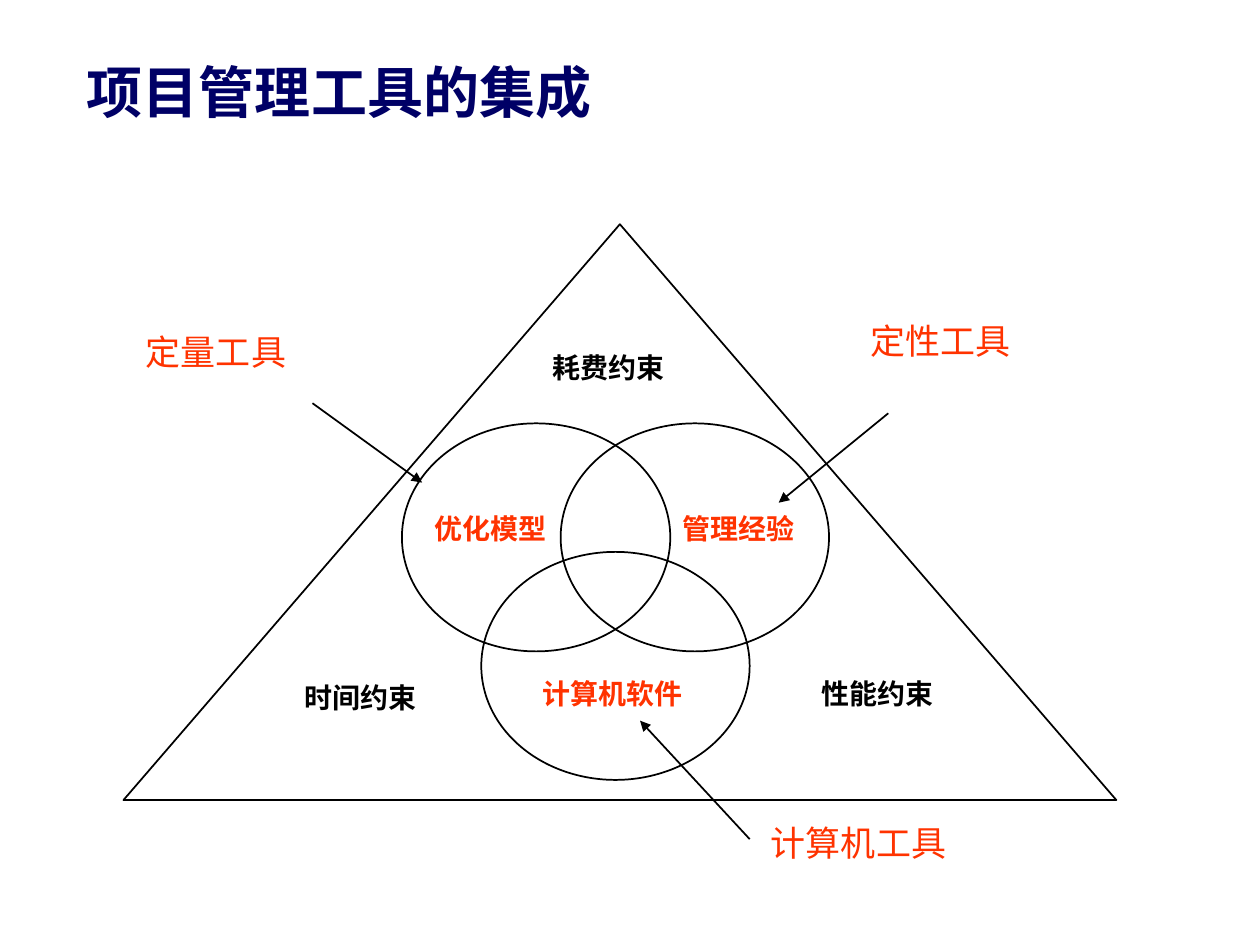
"""Build the slide on integrating project management tools."""
from pptx import Presentation
from pptx import util as u
from pptx.dml.color import RGBColor
from pptx.enum import shapes, text
from pptx.oxml.ns import qn
from lxml import etree

BLACK, RED, NAVY = "000000", "FF3300", "000066"


def color(code):
    return RGBColor.from_string(code)


def write(frame, words, size, code, bold):
    para = frame.paragraphs[0]
    para.alignment = text.PP_ALIGN.LEFT
    run = para.add_run()
    run.text = words
    run.font.name = "Arial"
    run.font.size = u.Pt(size)
    run.font.bold = bold
    run.font.color.rgb = color(code)
    return para


deck = Presentation()
deck.slide_width, deck.slide_height = u.Inches(10), u.Inches(7.5)
slide = deck.slides.add_slide(deck.slide_layouts[5])

title = slide.shapes.title
title.left, title.top = u.Inches(0.59), u.Inches(0.44)
title.width, title.height = u.Inches(4.65), u.Inches(0.57)
title.text_frame.auto_size = text.MSO_AUTO_SIZE.NONE
title.text_frame.vertical_anchor = text.MSO_ANCHOR.MIDDLE
write(title.text_frame, "项目管理工具的集成", 32, NAVY, True)

group = slide.shapes.add_group_shape().shapes
kind = shapes.MSO_SHAPE
outlines = [(kind.ISOSCELES_TRIANGLE, 0.98, 1.78, 7.88, 4.57)]
outlines += [(kind.OVAL, x, y, 2.13, 1.81)
             for x, y in ((3.19, 3.36), (4.45, 3.36), (3.82, 4.38))]
for form, *box in outlines:
    shape = group.add_shape(form, *map(u.Inches, box))
    shape.shadow.inherit = False
    shape.fill.background()
    shape.line.color.rgb = color(BLACK)
    shape.line.width = u.Pt(1)

labels = [
    ("优化模型", 3.35, 4.01, 1.18, 16, RED),
    ("管理经验", 5.32, 4.01, 1.18, 16, RED),
    ("计算机软件", 4.21, 5.32, 1.42, 16, RED),
    ("耗费约束", 4.29, 2.73, 1.18, 16, BLACK),
    ("时间约束", 2.32, 5.35, 1.18, 16, BLACK),
    ("性能约束", 6.42, 5.32, 1.18, 16, BLACK),
    ("定量工具", 1.06, 2.57, 1.5, 20, RED),
    ("定性工具", 6.81, 2.49, 1.5, 20, RED),
    ("计算机工具", 6.02, 6.47, 1.97, 20, RED),
]
for words, x, y, width, size, code in labels:
    high = 0.37 if size == 16 else 0.44
    frame = group.add_textbox(*map(u.Inches, (x, y, width, high))).text_frame
    frame.word_wrap = True
    frame.auto_size = text.MSO_AUTO_SIZE.SHAPE_TO_FIT_TEXT
    para = write(frame, words, size, code, size == 16)
    para.space_before = u.Pt(size * 0.625)

arrows = [(2.48, 3.2, 3.35, 3.83), (5.95, 6.66, 5.08, 5.72),
          (7.05, 3.28, 6.18, 3.99)]
for ends in arrows:
    arrow = group.add_connector(shapes.MSO_CONNECTOR.STRAIGHT,
                                *map(u.Inches, ends))
    arrow.line.color.rgb = color(BLACK)
    arrow.line.width = u.Pt(1)
    props = arrow.line._get_or_add_ln()
    etree.SubElement(props, qn("a:tailEnd"), type="triangle")
    etree.SubElement(props.getparent(), qn("a:effectLst"))

deck.save("out.pptx")
